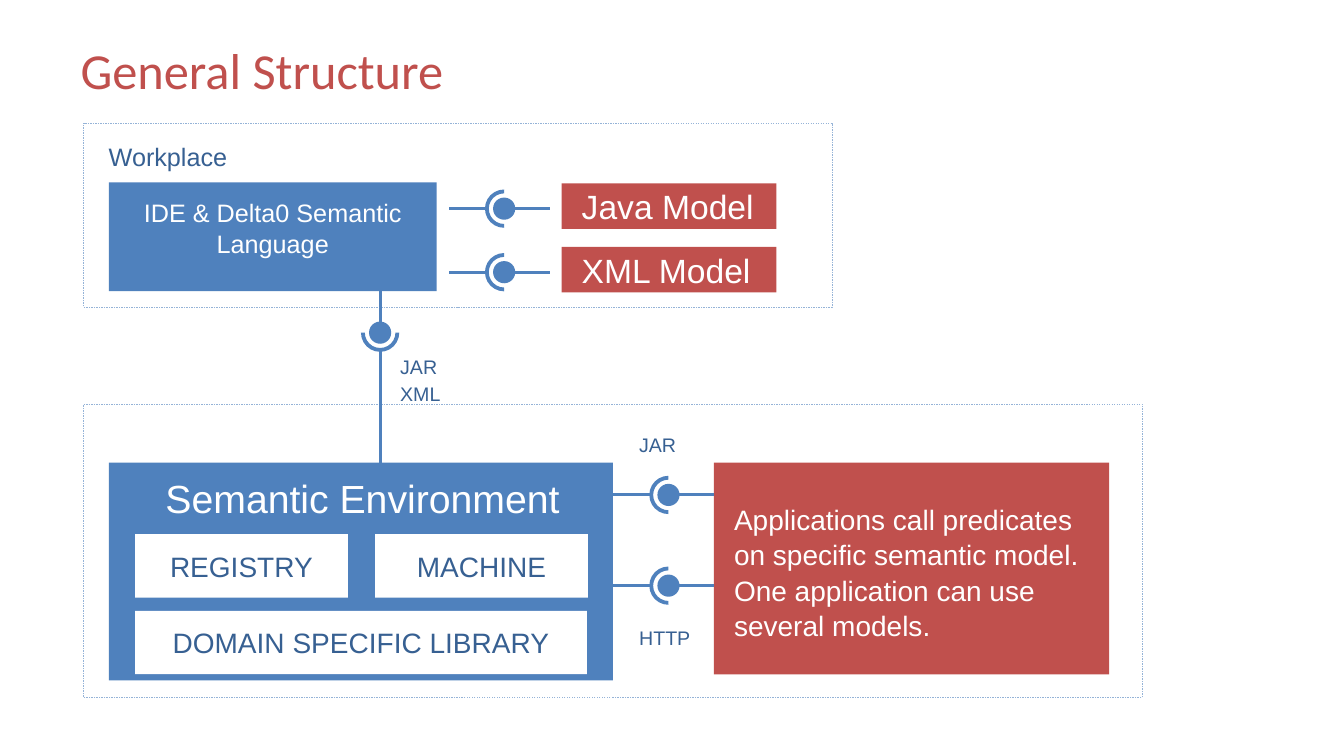
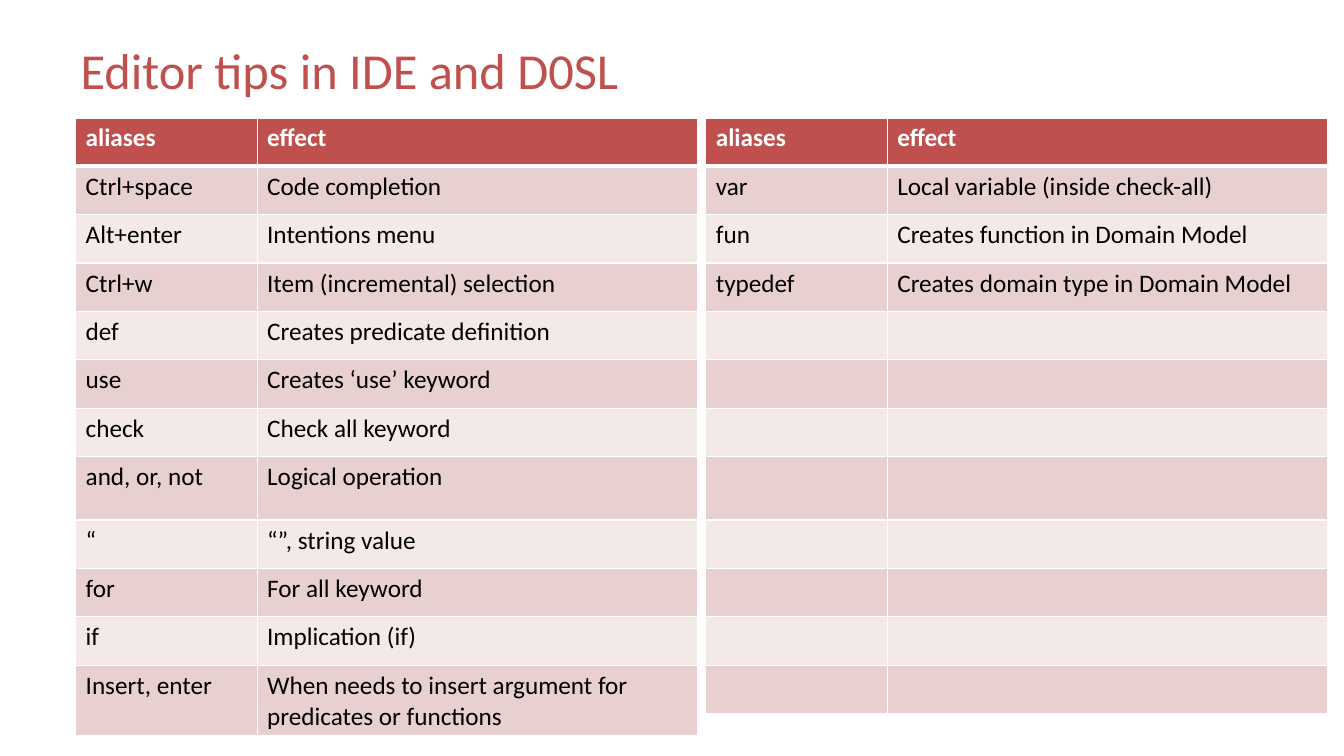
from lxml import etree
from pptx import Presentation
from pptx import util as u
from pptx.dml.color import RGBColor
from pptx.enum import dml, shapes, text as txt
from pptx.oxml.ns import qn

# Shared look
RED = RGBColor(0xC0, 0x50, 0x4D)
BLUE = RGBColor(0x4F, 0x81, 0xBD)
NAVY = RGBColor(0x37, 0x60, 0x92)
PALE = RGBColor(0x95, 0xB3, 0xD7)
WHITE = RGBColor(0xFF, 0xFF, 0xFF)
BLACK = RGBColor(0, 0, 0)
ROSE = RGBColor(0xE8, 0xD0, 0xD0)
BLUSH = RGBColor(0xF4, 0xE9, 0xE9)
HEAD, BODY = "Calibri", "Arial"
LEFT, MID = txt.PP_ALIGN.LEFT, txt.PP_ALIGN.CENTER
TOP, CENTER = txt.MSO_ANCHOR.TOP, txt.MSO_ANCHOR.MIDDLE
KIND = shapes.MSO_SHAPE

# Table content
HEADS = ("aliases", "effect")
KEYS = [
    ("Ctrl+space", "Code completion"),
    ("Alt+enter", "Intentions menu"),
    ("Ctrl+w", "Item (incremental) selection"),
    ("def", "Creates predicate definition"),
    ("use", "Creates ‘use’ keyword"),
    ("check", "Check all keyword"),
    ("and, or, not", "Logical operation"),
    ("“", "“”, string value"),
    ("for", "For all keyword"),
    ("if", "Implication (if)"),
    ("Insert, enter", "When needs to insert argument for predicates or functions"),
]
MORE = [
    ("var", "Local variable (inside check-all)"),
    ("fun", "Creates function in Domain Model"),
    ("typedef", "Creates domain type in Domain Model"),
]
COLS = (1.8, 4.37)
ROWS = [0.63 if row == 7 else 0.48 for row in range(12)]


def inch(*nums):
    return [u.Inches(num) for num in nums]


def write(frame, words, size=18, color=WHITE, font=BODY, bold=False,
          align=LEFT, anchor=TOP, pad=(0.1, 0.05, 0.1, 0.05), wrap=True,
          lead=None):
    """Fill a text frame with one formatted paragraph."""
    frame.word_wrap = wrap
    frame.vertical_anchor = anchor
    (frame.margin_left, frame.margin_top,
     frame.margin_right, frame.margin_bottom) = inch(*pad)
    para = frame.paragraphs[0]
    para.alignment = align
    para.line_spacing = lead
    run = para.add_run()
    run.text = words
    run.font.size = u.Pt(size)
    run.font.name = font
    run.font.bold = bold
    run.font.color.rgb = color


def label(slide, at, words, **style):
    write(slide.shapes.add_textbox(*inch(*at)).text_frame, words, **style)


def shape(slide, at, fill=None, kind=KIND.RECTANGLE, words=None, **style):
    item = slide.shapes.add_shape(kind, *inch(*at))
    item.shadow.inherit = False
    item.line.fill.background()
    if fill is None:
        item.fill.background()
    else:
        item.fill.solid()
        item.fill.fore_color.rgb = fill
    if words:
        write(item.text_frame, words, **style)
    return item


def zone(slide, at):
    """Dashed outline around a group of parts."""
    line = shape(slide, at).line
    line.color.rgb = PALE
    line.width = u.Pt(0.25)
    line.dash_style = dml.MSO_LINE.DASH


def wire(slide, start, end):
    item = slide.shapes.add_connector(
        shapes.MSO_CONNECTOR.STRAIGHT, *inch(*start, *end))
    item.line.color.rgb = BLUE
    item.line.width = u.Pt(2.25)
    etree.SubElement(item.element.spPr, qn("a:effectLst"))


def joint(slide, x, y, way=(-1, 0), turn=270, near=0.55, far=0.45):
    """Ball and socket at x, y; the socket faces along way."""
    shape(slide, (x - 0.11, y - 0.11, 0.22, 0.22), BLUE, KIND.OVAL)
    arc = shape(slide, (x - 0.19, y - 0.19, 0.38, 0.38), BLUE, KIND.BLOCK_ARC)
    arc.rotation = turn
    for index, value in enumerate((108, 0, 0.1)):
        arc.adjustments[index] = value

    def spot(dist):
        return x + way[0] * dist, y + way[1] * dist

    wire(slide, spot(0.18), spot(near))
    wire(slide, spot(-0.07), spot(-far))


def border(cell, top, low):
    """White cell borders, with top and low widths in points."""
    props = cell._tc.get_or_add_tcPr()
    for side, width in (("L", 1), ("R", 1), ("T", top), ("B", low)):
        line = etree.SubElement(props, qn("a:ln" + side), w=str(u.Pt(width)))
        fill = etree.SubElement(line, qn("a:solidFill"))
        etree.SubElement(fill, qn("a:srgbClr"), val=str(WHITE))


def grid(slide, left, pairs):
    table = slide.shapes.add_table(
        len(ROWS), len(COLS), *inch(left, 1.17, sum(COLS), sum(ROWS))).table
    for col, width in zip(table.columns, COLS):
        col.width = u.Inches(width)
    lines = [HEADS] + pairs
    for row, height in enumerate(ROWS):
        table.rows[row].height = u.Inches(height)
        head = row == 0
        for col in range(len(COLS)):
            cell = table.cell(row, col)
            border(cell, 3 if row == 1 else 1, 3 if head else 1)
            cell.fill.solid()
            cell.fill.fore_color.rgb = RED if head else (BLUSH, ROSE)[row % 2]
            if row < len(lines):
                write(cell.text_frame, lines[row][col], font=HEAD, bold=head,
                      color=WHITE if head else BLACK)


def page(deck, title):
    slide = deck.slides.add_slide(deck.slide_layouts[6])
    label(slide, (0.67, 0.3, 12, 0.78), title, size=36, color=RED, font=HEAD,
          anchor=CENTER, pad=(0.13, 0.07, 0.13, 0.07))
    return slide


def chart(deck):
    slide = page(deck, "General Structure")
    zone(slide, (0.83, 1.22, 7.42, 1.83))
    zone(slide, (0.83, 4.01, 10.5, 2.91))

    # Workplace
    label(slide, (0.98, 1.35, 1.39, 0.4), "Workplace", color=NAVY, wrap=False)
    shape(slide, (1.08, 1.81, 3.25, 1.08), BLUE,
          words="IDE & Delta0 Semantic Language", align=MID, anchor=CENTER,
          pad=(0.1, 0.05, 0.1, 0.24), lead=1.04)
    for y, name in ((2.07, "Java Model"), (2.7, "XML Model")):
        shape(slide, (5.57, y - 0.25, 2.13, 0.45), RED, words=name, size=24,
              anchor=CENTER, pad=(0.2, 0.05, 0.2, 0.05))
        joint(slide, 5, y)

    # Link between the zones
    joint(slide, 3.77, 3.3, way=(0, 1), turn=180, near=1.29, far=0.41)

    # Semantic environment
    shape(slide, (1.08, 4.59, 5, 2.16), BLUE)
    label(slide, (1.26, 4.66, 4.67, 0.57), "Semantic Environment", size=28,
          align=MID)
    for x, y, width, name in ((1.34, 5.3, 2.11, "REGISTRY"),
                              (3.72, 5.3, 2.11, "MACHINE"),
                              (1.34, 6.06, 4.48, "DOMAIN SPECIFIC LIBRARY")):
        shape(slide, (x, y, width, 0.63), WHITE, words=name, size=20,
              color=NAVY, align=MID, anchor=CENTER)

    # Applications
    shape(slide, (7.08, 4.59, 3.92, 2.1), RED,
          words="Applications call predicates on specific semantic model. "
                "One application can use several models.",
          size=20, pad=(0.2, 0.38, 0.2, 0.05), lead=1.05)
    for y in (4.91, 5.81):
        joint(slide, 6.63, y)

    # Format labels
    for x, y, width, name in ((6.24, 4.25, 0.57, "JAR"),
                              (6.24, 6.16, 0.71, "HTTP"),
                              (3.87, 3.47, 0.57, "JAR"),
                              (3.87, 3.74, 0.61, "XML")):
        label(slide, (x, y, width, 0.34), name, size=14, color=NAVY,
              wrap=False)


def tips(deck):
    slide = page(deck, "Editor tips in IDE and D0SL")
    grid(slide, 0.75, KEYS)
    grid(slide, 7, MORE)


def main():
    deck = Presentation()
    deck.slide_width, deck.slide_height = inch(13.33, 7.5)
    chart(deck)
    tips(deck)
    deck.save("out.pptx")


if __name__ == "__main__":
    main()
